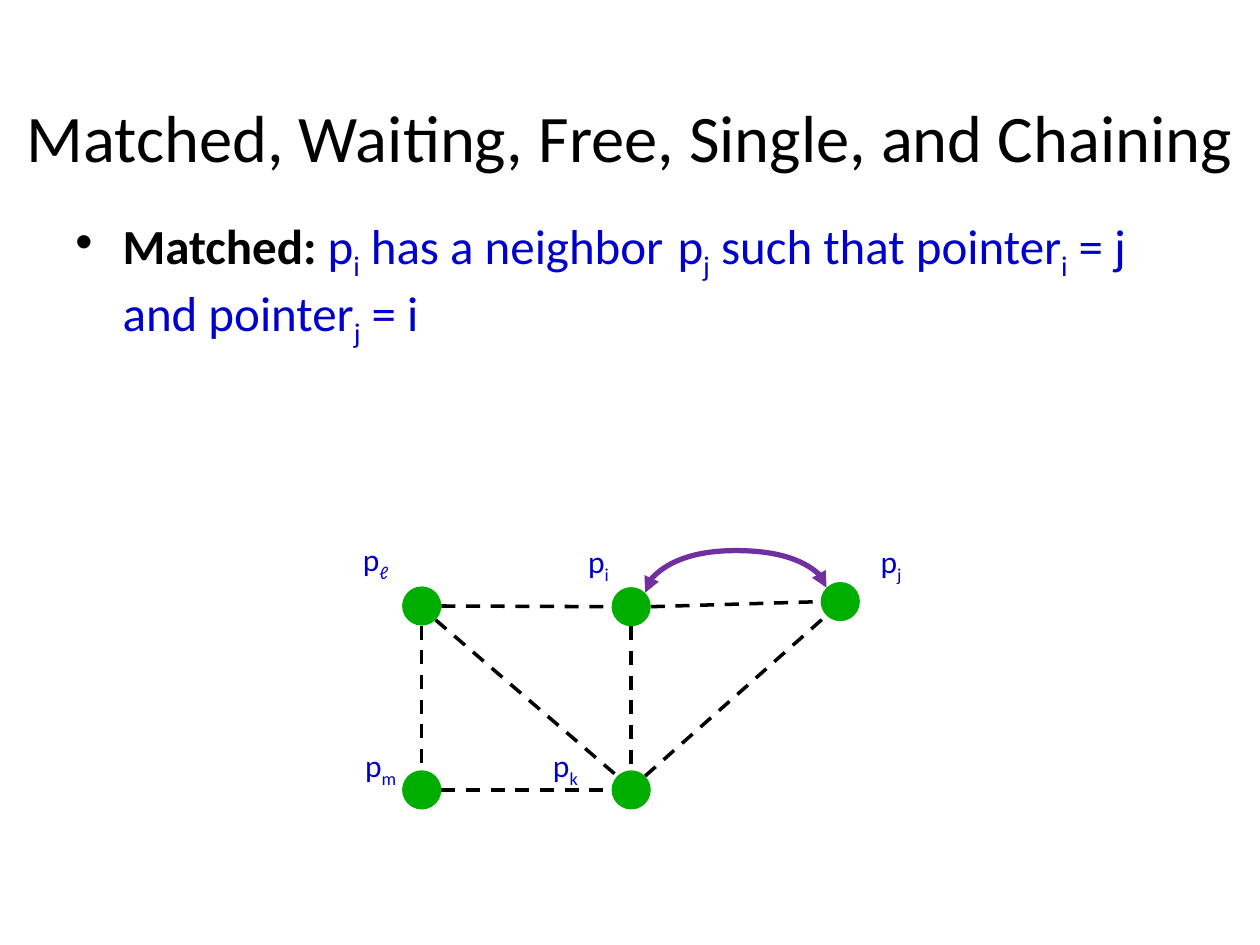
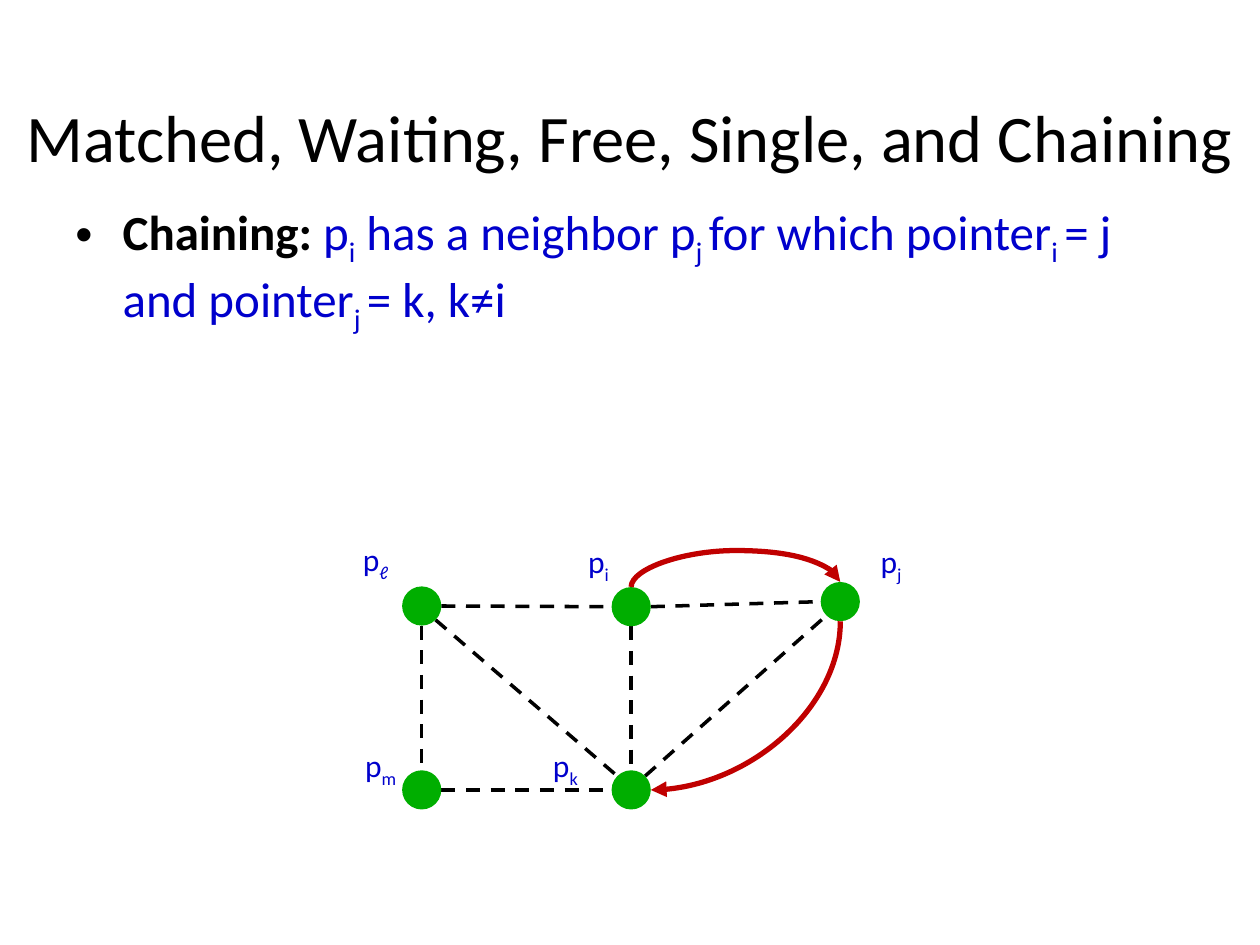
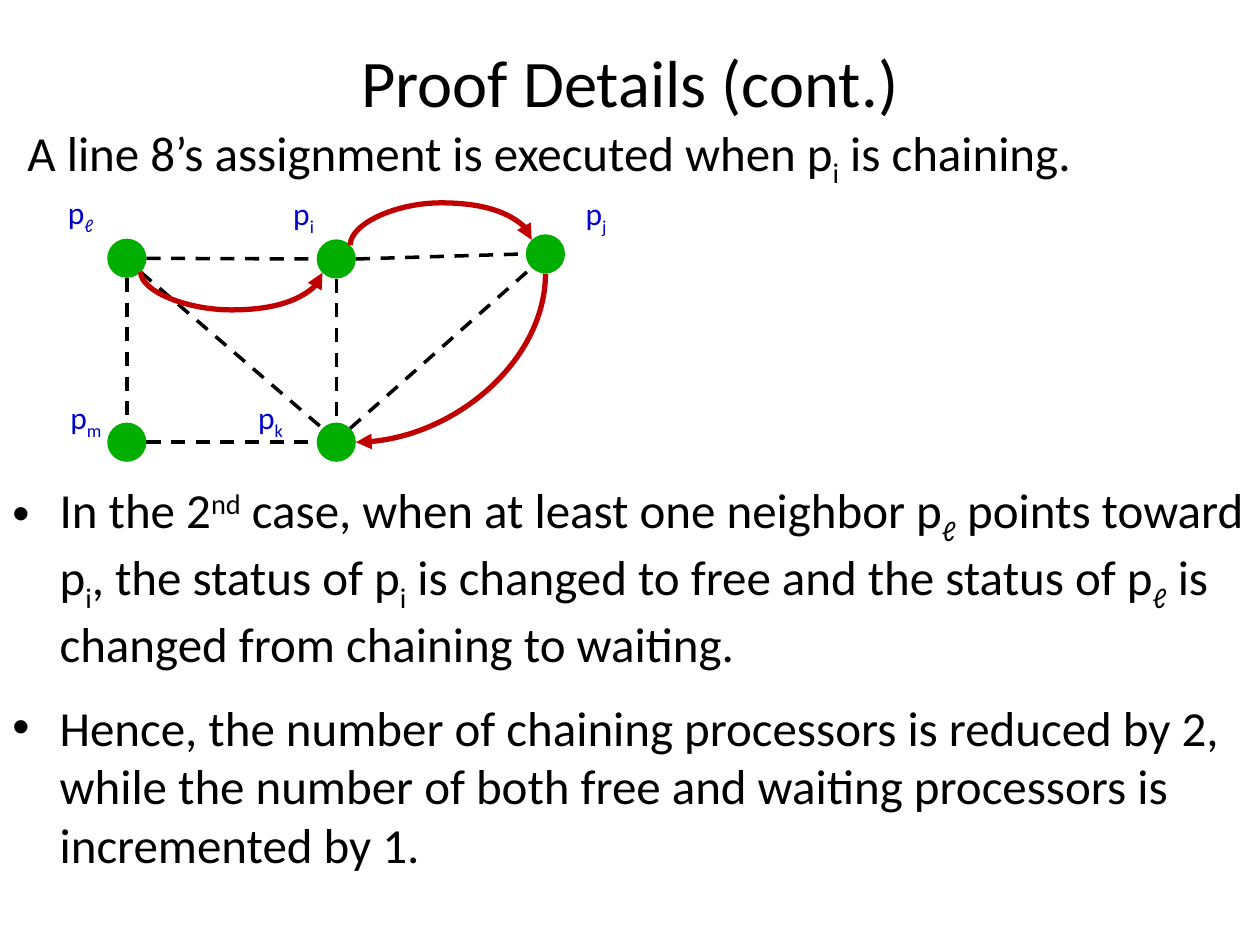
"""Builds three slides on processor matching, each with a network graph."""
import math
from typing import NamedTuple

import lxml.etree
import pptx
import pptx.dml.color
import pptx.enum.dml
import pptx.enum.shapes
import pptx.enum.text
import pptx.oxml.ns
import pptx.util

Pt = pptx.util.Pt
RGB = pptx.dml.color.RGBColor
qn = pptx.oxml.ns.qn

BLACK = RGB(0x00, 0x00, 0x00)
BLUE = RGB(0x00, 0x00, 0xCC)
GREEN = RGB(0x00, 0xAE, 0x00)
PURPLE = RGB(0x70, 0x30, 0xA0)
RED = RGB(0xC0, 0x00, 0x00)
FONT = "Calibri"
WIDE, HIGH = 720, 540
RADIUS = 11.2
DIAG = math.sqrt(0.5)
SITES = {
    "top": (0, -1), "bottom": (0, 1), "left": (-1, 0), "right": (1, 0),
    "nw": (-DIAG, -DIAG), "ne": (DIAG, -DIAG),
    "sw": (-DIAG, DIAG), "se": (DIAG, DIAG),
}


class Box(NamedTuple):
    left: float
    top: float
    width: float
    height: float


class Bit(NamedTuple):
    text: str
    color: RGB = BLACK
    base: int = 0
    bold: bool = False
    size: float = 28


class Node(NamedTuple):
    x: float
    y: float
    label: Box


class Edge(NamedTuple):
    start: str
    exit: str
    end: str
    entry: str


class Arc(NamedTuple):
    edge: Edge
    color: RGB
    bend: float = 0
    double: bool = False


NODES = {
    "i": Node(360.7, 346.7, Box(329, 306, 26.6, 29)),
    "j": Node(480.2, 343.8, Box(496.1, 306, 26.6, 29)),
    "ℓ": Node(241, 346.3, Box(200.2, 305.3, 30.2, 29)),
    "k": Node(360.7, 451.4, Box(308.9, 422.6, 29.5, 29)),
    "m": Node(241, 451.4, Box(201.6, 422.6, 33.8, 29)),
}
EDGES = [
    Edge("i", "right", "j", "left"),
    Edge("i", "bottom", "k", "top"),
    Edge("ℓ", "se", "k", "nw"),
    Edge("ℓ", "right", "i", "left"),
    Edge("k", "ne", "j", "sw"),
    Edge("ℓ", "bottom", "m", "top"),
    Edge("m", "right", "k", "left"),
]
CREST = 314.6
DIP = 376
DOWN = Arc(Edge("j", "bottom", "k", "right"), RED)
TITLE = Box(0, 32.4, WIDE, 90)


def sub(text: str, color: RGB = BLACK, size: float = 28) -> Bit:
    """Return a subscript piece of text."""
    return Bit(text, color, -25, size=size)


def write(para, bits: list[Bit]) -> None:
    """Add styled runs to a paragraph."""
    for bit in bits:
        run = para.add_run()
        run.text = bit.text
        run.font.name = FONT
        run.font.size = Pt(bit.size)
        run.font.bold = bit.bold
        run.font.color.rgb = bit.color
        if bit.base:
            run.font._element.set("baseline", str(bit.base * 1000))


def frame(shapes, box: Box, wrap: bool = True):
    """Add a text box and return its text frame."""
    text = shapes.add_textbox(*map(Pt, box)).text_frame
    text.word_wrap = wrap
    return text


def title(slide, text: str, box: Box) -> None:
    """Draw the centred slide title."""
    body = frame(slide.shapes, box)
    body.vertical_anchor = pptx.enum.text.MSO_ANCHOR.MIDDLE
    para = body.paragraphs[0]
    para.alignment = pptx.enum.text.PP_ALIGN.CENTER
    write(para, [Bit(text, size=38)])


def body(slide, box: Box, paras: list[list[Bit]], bullet: bool = True) -> None:
    """Draw body paragraphs with half a line of space before each."""
    text = frame(slide.shapes, box)
    for n, bits in enumerate(paras):
        para = text.add_paragraph() if n else text.paragraphs[0]
        props = para._p.get_or_add_pPr()
        space = lxml.etree.SubElement(props, qn("a:spcBef"))
        lxml.etree.SubElement(space, qn("a:spcPct")).set("val", "50000")
        if bullet:
            props.set("marL", str(Pt(27)))
            props.set("indent", str(-Pt(27)))
            lxml.etree.SubElement(props, qn("a:buFont")).set("typeface", "Arial")
            lxml.etree.SubElement(props, qn("a:buChar")).set("char", "•")
        write(para, bits)


def site(name: str, side: str, dx: float, dy: float) -> tuple[float, float]:
    """Return the point on a node's rim at the given side."""
    node, (ux, uy) = NODES[name], SITES[side]
    return node.x + dx + RADIUS * ux, node.y + dy + RADIUS * uy


def link(shapes, kind, edge: Edge, dx: float, dy: float, color: RGB, width: float):
    """Draw a connector between two nodes."""
    ends = site(edge.start, edge.exit, dx, dy) + site(edge.end, edge.entry, dx, dy)
    line = shapes.add_connector(kind, *map(Pt, ends))
    line.line.color.rgb = color
    line.line.width = Pt(width)
    lxml.etree.SubElement(line._element.spPr, qn("a:effectLst"))
    return line, ends


def graph(slide, dx: float, dy: float) -> None:
    """Draw the network of five processors as one group."""
    shapes = slide.shapes.add_group_shape().shapes
    for edge in EDGES:
        line, _ = link(shapes, pptx.enum.shapes.MSO_CONNECTOR.STRAIGHT,
                       edge, dx, dy, BLACK, 2)
        line.line.dash_style = pptx.enum.dml.MSO_LINE.DASH
    for name, node in NODES.items():
        size = 2 * RADIUS
        spot = Box(node.x + dx - RADIUS, node.y + dy - RADIUS, size, size)
        dot = shapes.add_shape(pptx.enum.shapes.MSO_SHAPE.OVAL, *map(Pt, spot))
        dot.shadow.inherit = False
        dot.fill.solid()
        dot.fill.fore_color.rgb = GREEN
        dot.line.fill.background()
        box = node.label
        text = frame(shapes, Box(box.left + dx, box.top + dy, *box[2:]), False)
        text.auto_size = pptx.enum.text.MSO_AUTO_SIZE.SHAPE_TO_FIT_TEXT
        write(text.paragraphs[0], [Bit("p", BLUE, size=18), sub(name, BLUE, 18)])


def curve(slide, arc: Arc, dx: float, dy: float) -> None:
    """Draw a curved arrow that leaves its node vertically."""
    line, (x1, y1, x2, y2) = link(
        slide.shapes, pptx.enum.shapes.MSO_CONNECTOR.CURVE,
        arc.edge, dx, dy, arc.color, 3)
    wide, high = abs(y2 - y1), abs(x2 - x1)
    line.left, line.top = Pt((x1 + x2 - wide) / 2), Pt((y1 + y2 - high) / 2)
    line.width, line.height = Pt(wide), Pt(high)
    props = line._element.spPr
    turn = props.find(qn("a:xfrm"))
    turn.set("rot", "5400000")
    turn.set("flipH", str(int(y2 < y1)))
    turn.set("flipV", str(int(x2 > x1)))
    shape = props.find(qn("a:prstGeom"))
    if arc.bend:
        ratio = round((arc.bend + dy - y1) / (y2 - y1) * 100000)
        guide = lxml.etree.SubElement(shape.find(qn("a:avLst")), qn("a:gd"))
        guide.set("name", "adj1")
        guide.set("fmla", f"val {ratio}")
    else:
        shape.set("prst", "curvedConnector2")
    for tip in ["headEnd", "tailEnd"] if arc.double else ["tailEnd"]:
        mark = lxml.etree.SubElement(props.find(qn("a:ln")), qn(f"a:{tip}"))
        mark.set("type", "triangle")


def scene(slide, arcs: list[Arc], dx: float = 0, dy: float = 0) -> None:
    """Draw the graph and the pointers over it."""
    graph(slide, dx, dy)
    for arc in arcs:
        curve(slide, arc, dx, dy)


def states(deck, height: float, bits: list[Bit], arcs: list[Arc]) -> None:
    """Build a slide that defines one processor state."""
    slide = deck.slides.add_slide(deck.slide_layouts[6])
    title(slide, "Matched, Waiting, Free, Single, and Chaining", TITLE)
    body(slide, Box(36, 111.6, 648, height), [bits])
    scene(slide, arcs)


def proof(deck) -> None:
    """Build the slide with the proof details."""
    slide = deck.slides.add_slide(deck.slide_layouts[6])
    title(slide, "Proof Details (cont.)", Box(36, 1.4, 648, 90))
    body(slide, Box(8.6, 66.2, 697.7, 130.3), [[
        Bit("A line 8’s assignment is executed when p"), sub("i"),
        Bit(" is chaining."),
    ]], bullet=False)
    scene(slide, [
        Arc(Edge("i", "ne", "j", "nw"), RED, CREST),
        DOWN,
        Arc(Edge("ℓ", "se", "i", "sw"), RED, DIP),
    ], -168.5, -198.7)
    body(slide, Box(0, 270.7, WIDE, 226), [
        [
            Bit("In the 2"), Bit("nd", base=30),
            Bit(" case, when at least one neighbor p"), sub("ℓ"),
            Bit(" points toward p"), sub("i"),
            Bit(", the status of p"), sub("i"),
            Bit(" is changed to free and the status of p"), sub("ℓ"),
            Bit(" is changed from chaining to waiting."),
        ],
        [Bit("Hence, the number of chaining processors is reduced by 2, "
             "while the number of both free and waiting processors is "
             "incremented by 1.")],
    ])


def main() -> None:
    """Build and save the deck."""
    deck = pptx.Presentation()
    deck.slide_width, deck.slide_height = Pt(WIDE), Pt(HIGH)
    states(deck, 100, [
        Bit("Matched: ", bold=True),
        Bit("p", BLUE), sub("i", BLUE),
        Bit(" has a neighbor", BLUE), Bit(" ", BLUE, size=36),
        Bit("p", BLUE), sub("j", BLUE),
        Bit(" such that pointer", BLUE), sub("i", BLUE),
        Bit(" = j and pointer", BLUE), sub("j", BLUE),
        Bit(" = i", BLUE),
    ], [Arc(Edge("i", "ne", "j", "nw"), PURPLE, CREST, True)])
    states(deck, 79.2, [
        Bit("Chaining: ", bold=True),
        Bit("p", BLUE), sub("i", BLUE),
        Bit(" has a neighbor p", BLUE), sub("j ", BLUE),
        Bit("for which pointer", BLUE), sub("i ", BLUE),
        Bit("= j and pointer", BLUE), sub("j ", BLUE),
        Bit("= k, k≠i", BLUE),
    ], [Arc(Edge("i", "top", "j", "top"), RED, CREST), DOWN])
    proof(deck)
    deck.save("out.pptx")


main()
